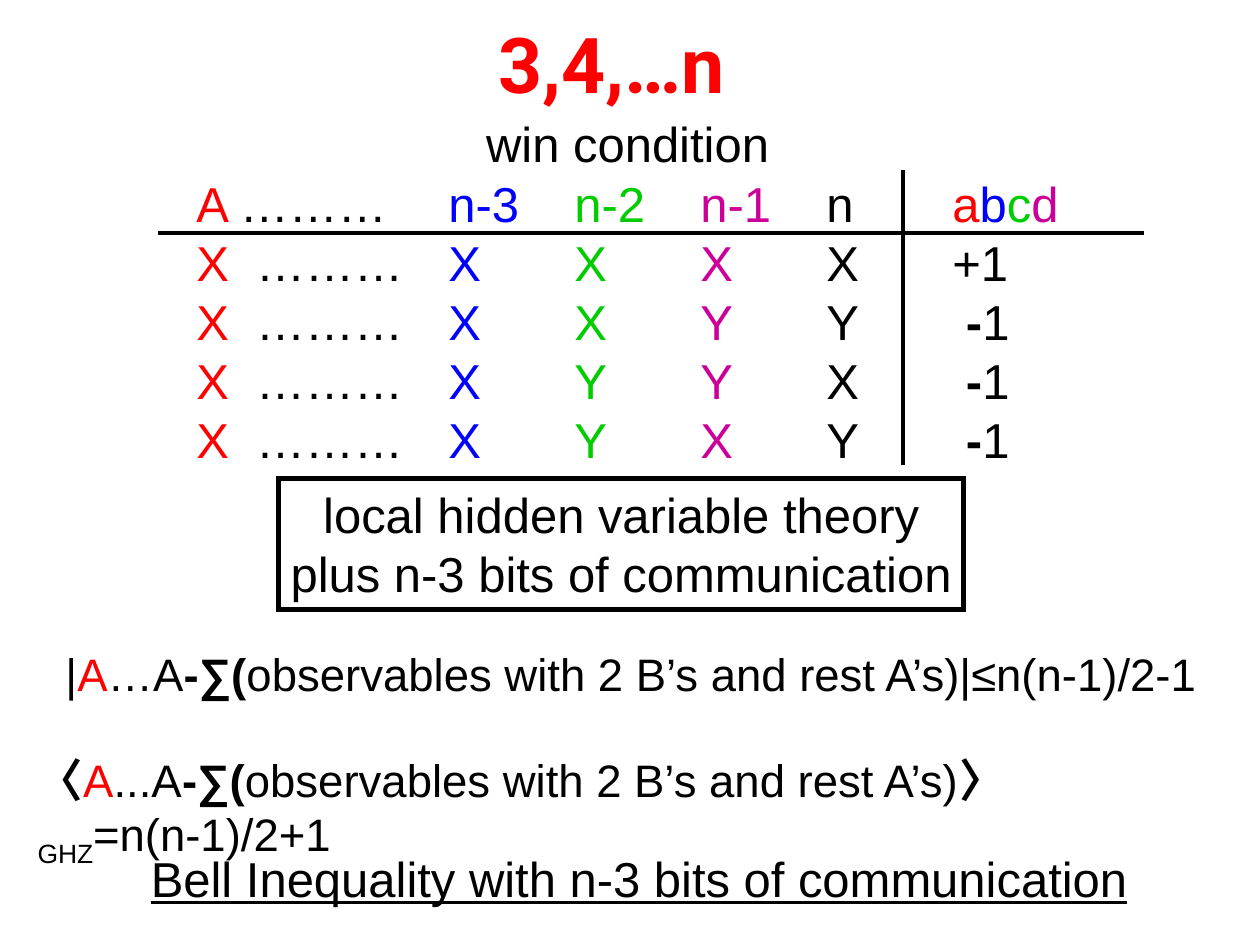
from dataclasses import dataclass

from lxml.etree import SubElement
from pptx import Presentation
from pptx.dml.color import RGBColor
from pptx.enum.shapes import MSO_CONNECTOR, MSO_SHAPE
from pptx.enum.text import MSO_ANCHOR, MSO_AUTO_SIZE, PP_ALIGN
from pptx.oxml.ns import qn
from pptx.util import Cm, Pt


@dataclass(frozen=True)
class Theme:
    """Colours, fonts and type sizes of the slide."""
    black: str = "000000"
    red: str = "FF0000"
    blue: str = "0000FF"
    green: str = "00CC00"
    magenta: str = "CC0099"
    body_font: str = "Arial"
    title_font: str = "Roboto"
    title: int = 44
    body: int = 28
    formula: int = 26


THEME = Theme()
SUM_RUN = ("-∑(", {"bold": True})
OBSERVABLES = "observables with 2 B’s and rest A’s)"


def add_run(paragraph, text, size=THEME.body, font=THEME.body_font, color=THEME.black,
            bold=False, underline=False, baseline=None):
    """Append one formatted run to a paragraph."""
    run = paragraph.add_run()
    run.text = text
    run.font.size = Pt(size)
    run.font.name = font
    run.font.bold = bold
    run.font.underline = underline
    run.font.color.rgb = RGBColor.from_string(color)
    if baseline is not None:
        run.font._element.set("baseline", str(baseline * 1000))


def fill_frame(frame, lines, align=PP_ALIGN.LEFT, wrap=False, tab_step=None, **format):
    """Write lines of (text, format) runs into a text frame."""
    frame.word_wrap = wrap
    frame.auto_size = MSO_AUTO_SIZE.SHAPE_TO_FIT_TEXT
    frame.vertical_anchor = MSO_ANCHOR.TOP
    for index, runs in enumerate(lines):
        paragraph = frame.add_paragraph() if index else frame.paragraphs[0]
        paragraph.alignment = align
        if tab_step:
            tabs = SubElement(paragraph._p.get_or_add_pPr(), qn("a:tabLst"))
            for stop in range(1, 8):
                SubElement(tabs, qn("a:tab"), pos=str(stop * tab_step), algn="l")
        for text, run_format in runs:
            add_run(paragraph, text, **{**format, **run_format})


def add_text(slide, box, lines, **format):
    """Add a text box in the given box."""
    fill_frame(slide.shapes.add_textbox(*box).text_frame, lines, **format)


def add_rule(slide, start, end):
    """Add a straight black rule between two points."""
    rule = slide.shapes.add_connector(MSO_CONNECTOR.STRAIGHT, *start, *end)
    rule.line.color.rgb = RGBColor.from_string(THEME.black)
    rule.line.width = Pt(2.25)
    SubElement(rule._element.spPr, qn("a:effectLst"))


def add_heading(slide, left, top):
    """Add the title and the caption below it."""
    add_text(slide, (left, top, Cm(5.61), Cm(2.13)), [[("3,4,…n", {})]],
             size=THEME.title, font=THEME.title_font, color=THEME.red, bold=True)
    add_text(slide, (left - Cm(0.25), top + Cm(1.96), Cm(6.4), Cm(1.45)),
             [[("win condition", {})]], wrap=True)


def add_win_table(slide, left, top, width, height):
    """Add the tabbed table of settings and outcomes with its two rules."""
    party_colors = (THEME.blue, THEME.green, THEME.magenta, THEME.black)

    def settings(first, dots, labels):
        """Return the coloured runs that precede the outcome."""
        return [(first, {"color": THEME.red}), (dots + "\t", {})] + [
            (label + "\t", {"color": color}) for label, color in zip(labels, party_colors)]

    outcome_colors = (THEME.red, THEME.blue, THEME.green, THEME.magenta)
    header = settings("A ", "……… ", ("n-3", "n-2", "n-1", "n")) + [
        (letter, {"color": color}) for letter, color in zip("abcd", outcome_colors)]
    positive = settings("X  ", "………", "XXXX") + [("+1", {})]
    negative = [settings("X  ", "……… ", labels) + [(" ", {}), ("-", {"bold": True}), ("1", {})]
                for labels in ("XXYY", "XYYX", "XYXY")]
    add_text(slide, (left, top, width, height), [header, positive, *negative], tab_step=Cm(2.54))
    rule_y, rule_x = top + Cm(1.32), left + Cm(14.5)
    add_rule(slide, (left - Cm(0.53), rule_y), (left + Cm(19.35), rule_y))
    add_rule(slide, (rule_x, top + Cm(0.05)), (rule_x, top + Cm(6)))


def add_theory_box(slide, left, top, width, height):
    """Add the outlined statement about the classical model."""
    shape = slide.shapes.add_shape(MSO_SHAPE.RECTANGLE, left, top, width, height)
    shape.shadow.inherit = False
    shape.fill.background()
    shape.line.color.rgb = RGBColor.from_string(THEME.black)
    shape.line.width = Pt(3)
    SubElement(shape.line._get_or_add_ln(), qn("a:miter"), lim="800000")
    frame = shape.text_frame
    frame.margin_left = frame.margin_right = Cm(0.1)
    fill_frame(frame, [[("local hidden variable theory", {})],
                       [("plus n-3 bits of communication", {})]],
               align=PP_ALIGN.CENTER, wrap=True)


def add_inequalities(slide, left, top):
    """Add the classical bound, the quantum value and the conclusion."""
    red_a = ("A", {"color": THEME.red})
    bound = [("|", {}), red_a, ("…A", {}), SUM_RUN, (OBSERVABLES + "|≤n(n-1)/2-1", {})]
    value = [("〈", {"bold": True}), red_a, ("...A", {}), SUM_RUN, (OBSERVABLES, {}),
             ("〉", {"bold": True}), ("GHZ", {"baseline": -25}), ("=n(n-1)/2+1", {})]
    add_text(slide, (left + Cm(0.56), top, Cm(23.47), Cm(1.37)), [bound], size=THEME.formula)
    add_text(slide, (left, top + Cm(2.13), Cm(24.82), Cm(1.52)), [value],
             size=THEME.formula, wrap=True)
    add_text(slide, (left + Cm(2.28), top + Cm(4.08), Cm(20.19), Cm(1.45)),
             [[("Bell Inequality with n-3 bits of communication", {})]], underline=True)


def main():
    """Build and save the presentation."""
    presentation = Presentation()
    presentation.slide_width, presentation.slide_height = Cm(25.4), Cm(19.05)
    slide = presentation.slides.add_slide(presentation.slide_layouts[6])
    add_heading(slide, Cm(9.8), Cm(0.2))
    add_win_table(slide, Cm(3.71), Cm(3.38), Cm(17.88), Cm(6.2))
    add_theory_box(slide, Cm(5.61), Cm(9.65), Cm(13.82), Cm(2.64))
    add_inequalities(slide, Cm(0.51), Cm(12.9))
    presentation.save("out.pptx")


if __name__ == "__main__":
    main()
